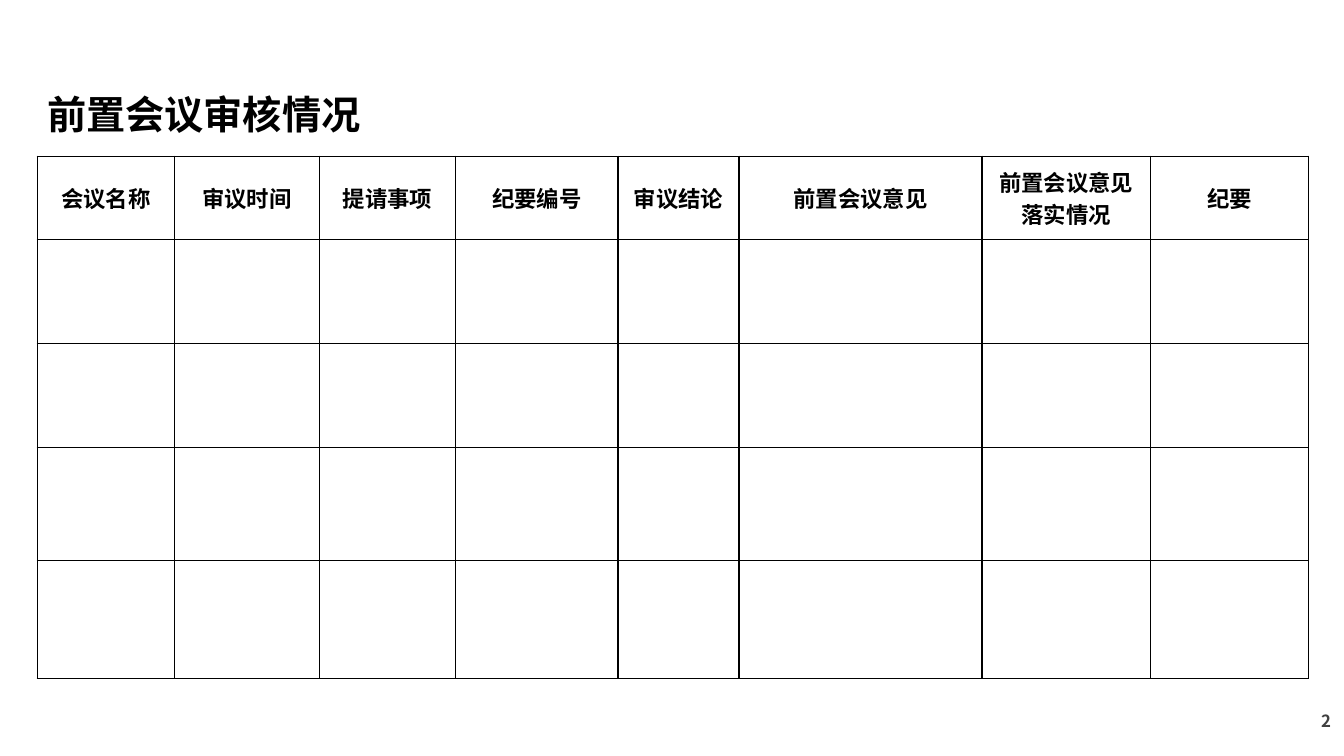
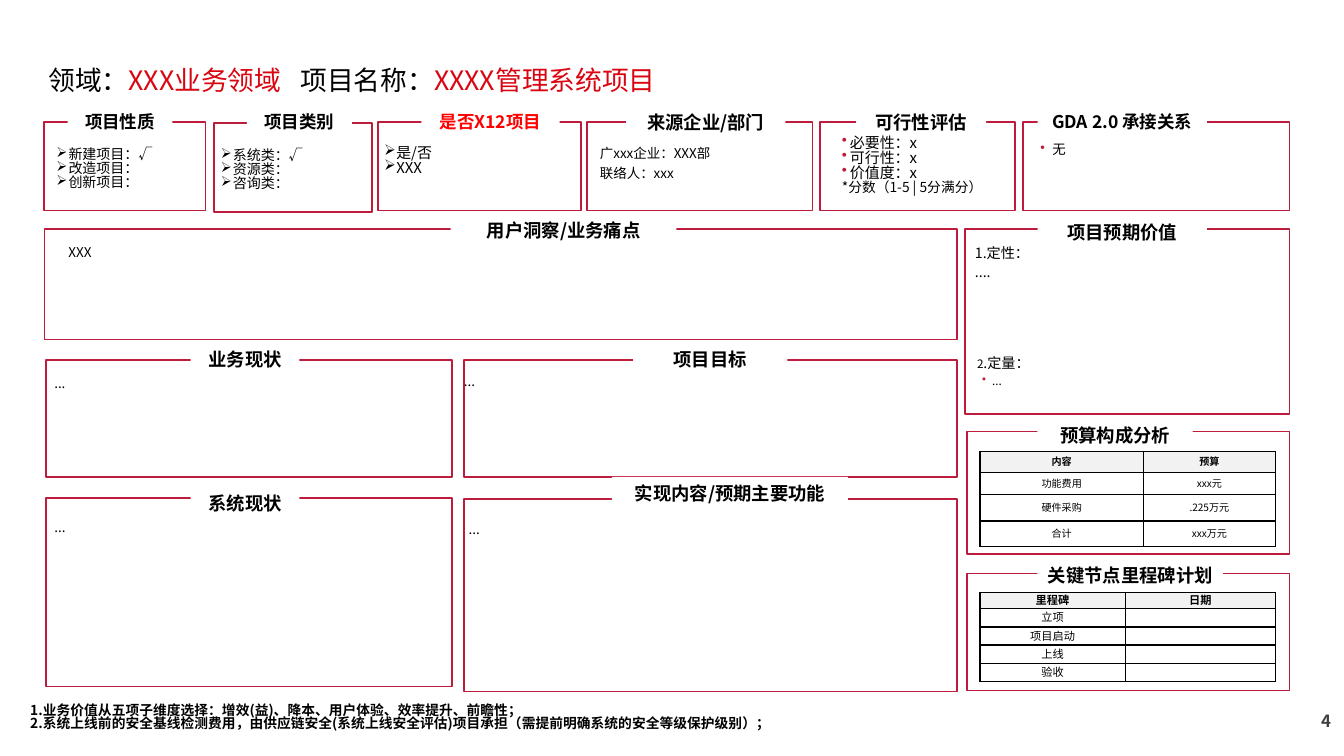
from dataclasses import dataclass, field

from lxml.etree import SubElement
from pptx import Presentation
from pptx.dml.color import RGBColor
from pptx.enum.shapes import MSO_SHAPE
from pptx.enum.text import MSO_ANCHOR, PP_ALIGN
from pptx.oxml.ns import qn
from pptx.util import Emu, Pt

PX = 9144  # 100 px to the inch


@dataclass(frozen=True)
class Theme:
    font: str = "Noto Sans CJK SC"
    ink: str = "000000"
    paper: str = "FFFFFF"
    frame: str = "BE1C3D"
    value: str = "D90612"
    alert: str = "FF0000"
    number: str = "404040"
    header_fill: str = "F2F2F2"
    heading: float = 28
    subject: float = 19.1
    table_head: float = 16
    label: float = 13.1
    label_small: float = 12.5
    page: float = 12
    item: float = 10.7
    list: float = 10
    body: float = 9.6
    note: float = 9.8
    small: float = 8.3
    milestone: float = 8
    budget: float = 7.2
    tight: float = 0.84


T = Theme()
DEFAULT_INSET = (10, 5, 10, 5)
THIN_INSET = (2, 1, 2, 1)
NO_INSET = (0, 0, 0, 0)


@dataclass
class Para:
    """Runs are strings or (text, format) pairs; indent is (left, first line) in px."""
    runs: list
    size: float = T.body
    bold: bool = False
    color: str = T.ink
    indent: tuple = (0, 0)
    bullet: str = ""
    bullet_color: str = T.ink
    tab: int = 0
    layout: dict = field(default_factory=dict)


@dataclass
class Panel:
    """A framed box whose label breaks the top edge."""
    frame: tuple
    label: tuple  # left, top, width
    title: str
    size: float = T.label
    color: str = T.ink


def px(*values):
    return [Emu(v * PX) for v in values]


def rgb(value):
    return RGBColor.from_string(value)


def set_attrs(target, values):
    for name, value in values.items():
        setattr(target, name, value)


def add_color(parent, tag, color):
    SubElement(SubElement(parent, qn(tag)), qn("a:srgbClr"), val=color)


def set_insets(target, inset):
    names = ("margin_left", "margin_top", "margin_right", "margin_bottom")
    set_attrs(target, dict(zip(names, px(*inset))))


def add_run(p, text, size, bold, color):
    r = p.add_run()
    r.text = text
    set_attrs(r.font, {"size": Pt(size), "bold": bold, "name": T.font})
    r.font.color.rgb = rgb(color)
    SubElement(r._r.get_or_add_rPr(), qn("a:ea"), typeface=T.font)


def write_para(p, para):
    pPr = p._p.get_or_add_pPr()
    left, first = px(*para.indent)
    pPr.set("marL", str(left))
    pPr.set("indent", str(first))
    if para.bullet:
        add_color(pPr, "a:buClr", para.bullet_color)
        SubElement(pPr, qn("a:buChar"), char=para.bullet)
    if para.tab:
        tabs = SubElement(pPr, qn("a:tabLst"))
        SubElement(tabs, qn("a:tab"), pos=str(para.tab * PX), algn="l")
    set_attrs(p, para.layout)
    base = {"size": para.size, "bold": para.bold, "color": para.color}
    for run in para.runs:
        text, changes = (run, {}) if isinstance(run, str) else run
        add_run(p, text, **{**base, **changes})


def write_paras(tf, paras):
    for i, para in enumerate(paras):
        write_para(tf.paragraphs[0] if i == 0 else tf.add_paragraph(), para)


def add_text(slide, box, paras, inset=DEFAULT_INSET, anchor=MSO_ANCHOR.TOP):
    tf = slide.shapes.add_textbox(*px(*box)).text_frame
    set_attrs(tf, {"word_wrap": True, "vertical_anchor": anchor})
    set_insets(tf, inset)
    write_paras(tf, paras)


def add_rect(slide, box):
    sp = slide.shapes.add_shape(MSO_SHAPE.RECTANGLE, *px(*box))
    sp.shadow.inherit = False
    return sp


def add_panel(slide, panel):
    frame = add_rect(slide, panel.frame)
    frame.fill.background()
    frame.line.color.rgb = rgb(T.frame)
    frame.line.width = Pt(1.25)
    left, top, width = panel.label
    label = add_rect(slide, (left, top, width, 32))
    label.fill.solid()
    label.fill.fore_color.rgb = rgb(T.paper)
    label.line.fill.background()
    tf = label.text_frame
    set_attrs(tf, {"word_wrap": False, "vertical_anchor": MSO_ANCHOR.MIDDLE})
    write_paras(tf, [Para([panel.title], panel.size, True, panel.color,
                          layout={"alignment": PP_ALIGN.CENTER})])


def set_borders(cell):
    tcPr = cell._tc.get_or_add_tcPr()
    for i, side in enumerate(("a:lnL", "a:lnR", "a:lnT", "a:lnB")):
        ln = tcPr.makeelement(qn(side), {"w": str(Pt(1))})
        add_color(ln, "a:solidFill", T.ink)
        tcPr.insert(i, ln)


def add_grid(slide, at, cols, rows, texts, size, inset, head_fill=None, spacing=1.0):
    """Bordered table with a bold first row; a line break in a text starts a paragraph."""
    frame = slide.shapes.add_table(len(rows), len(cols), *px(*at, sum(cols), sum(rows)))
    table = frame.table
    set_attrs(table, {"first_row": False, "horz_banding": False})
    for col, width in zip(table.columns, px(*cols)):
        col.width = width
    for row, height in zip(table.rows, px(*rows)):
        row.height = height
    layout = {"alignment": PP_ALIGN.CENTER, "line_spacing": spacing}
    for i, row in enumerate(table.rows):
        for j, cell in enumerate(row.cells):
            cell.vertical_anchor = MSO_ANCHOR.MIDDLE
            set_insets(cell, inset)
            if i == 0 and head_fill:
                cell.fill.solid()
                cell.fill.fore_color.rgb = rgb(head_fill)
            else:
                cell.fill.background()
            set_borders(cell)
            text = texts[i][j] if i < len(texts) and j < len(texts[i]) else ""
            if text:
                write_paras(cell.text_frame, [Para([line], size, i == 0, layout=layout)
                                              for line in text.split("\n")])
            else:
                SubElement(cell.text_frame.paragraphs[0]._p, qn("a:endParaRPr"),
                           sz=str(int(size * 100)))


def new_slide(prs, number):
    slide = prs.slides.add_slide(prs.slide_layouts[6])
    add_text(slide, (1279, 703, 51, 25),
             [Para([number], T.page, True, T.number, layout={"alignment": PP_ALIGN.RIGHT})],
             anchor=MSO_ANCHOR.MIDDLE)
    return slide


def bullets(texts, size, indent, mark="•", color=T.frame, **layout):
    return [Para([t], size, indent=indent, bullet=mark, bullet_color=color, layout=layout)
            for t in texts]


def add_checklist(slide, box, texts, size):
    add_text(slide, box, bullets(texts, size, (12, -12), "➢", T.ink, line_spacing=T.tight),
             THIN_INSET, MSO_ANCHOR.MIDDLE)


def review_slide(prs):
    slide = new_slide(prs, "2")
    add_text(slide, (37, 84, 893, 57), [Para(["前置会议审核情况"], T.heading, True)],
             anchor=MSO_ANCHOR.MIDDLE)
    heads = ["会议名称", "审议时间", "提请事项", "纪要编号", "审议结论",
             "前置会议意见", "前置会议意见\n落实情况", "纪要"]
    add_grid(slide, (37, 155), (136, 144, 135, 161, 120, 241, 167, 157),
             (83, 103, 103, 112, 117), [heads], T.table_head, (13, 6, 13, 6))


PANELS = [
    Panel((44, 121, 160, 88), (67, 105, 104), "项目性质", T.label_small),
    Panel((212, 122, 157, 88), (245, 105, 104), "项目类别", T.label_small),
    Panel((375, 121, 201, 88), (418, 105, 137), "是否X12项目", T.label_small, T.alert),
    Panel((582, 121, 224, 88), (621, 105, 158), "来源企业/部门"),
    Panel((813, 121, 194, 88), (849, 105, 129), "可行性评估"),
    Panel((1015, 121, 264, 88), (1029, 105, 168), "GDA 2.0 承接关系", T.label_small),
    Panel((44, 227, 905, 110), (447, 212, 224), "用户洞察/业务痛点"),
    Panel((46, 357, 402, 116), (189, 340, 108), "业务现状"),
    Panel((460, 357, 489, 116), (628, 340, 153), "项目目标"),
    Panel((46, 494, 402, 187), (189, 483, 108), "系统现状"),
    Panel((460, 495, 489, 191), (607, 473, 234), "实现内容/预期主要功能"),
    Panel((957, 227, 322, 184), (1029, 214, 168), "项目预期价值"),
    Panel((959, 428, 320, 122), (1029, 416, 154), "预算构成分析"),
    Panel((959, 569, 320, 116), (1029, 555, 184), "关键节点里程碑计划"),
]


def add_panel_texts(slide):
    add_checklist(slide, (54, 129, 176, 78), ["新建项目：√", "改造项目：", "创新项目："], T.list)
    add_checklist(slide, (217, 130, 138, 78), ["系统类：√", "资源类：", "咨询类："], T.list)
    add_checklist(slide, (379, 121, 179, 78), ["是/否", "XXX"], T.item)
    add_text(slide, (595, 140, 201, 61),
             [Para([t], layout={"line_spacing": 1.24})
              for t in ("广xxx企业：XXX部", "联络人：xxx")], NO_INSET)
    scores = bullets(["必要性：x", "可行性：x", "价值度：x"], T.item, (13, -8),
                     line_spacing=T.tight)
    scale = Para(["*分数（1-5 | 5分满分）"], T.note, indent=(5, 0),
                 layout={"line_spacing": T.tight})
    add_text(slide, (830, 135, 177, 70), [*scores, scale], NO_INSET)
    add_text(slide, (1015, 135, 248, 26), bullets(["无"], T.body, (19, -12)))

    for box, text, inset in (
        ((58, 237, 879, 91), "XXX", DEFAULT_INSET),
        ((44, 367, 390, 106), "...", DEFAULT_INSET),
        ((460, 370, 489, 78), "...", NO_INSET),
        ((44, 510, 401, 167), "...", DEFAULT_INSET),
        ((455, 512, 499, 174), "...", DEFAULT_INSET),
    ):
        add_text(slide, box, [Para([text])], inset)

    after = {"space_after": Pt(1.6)}
    add_text(slide, (964, 242, 300, 36),
             [Para([t], 10.1, indent=(3, 0), layout=after) for t in ("1.定性：", "....")],
             NO_INSET)
    amount = Para([("2", {"size": T.small}), ".定量："], 10.1, indent=(5, 0), layout=after)
    add_text(slide, (964, 352, 301, 33),
             [amount, *bullets(["..."], T.small, (20, -10), **after)], NO_INSET)


def project_slide(prs):
    slide = new_slide(prs, "4")
    value = {"color": T.value}
    add_text(slide, (42, 65, 1006, 49),
             [Para(["领域：", ("XXX业务领域\t", value), "项目名称：", ("XXXX管理系统项目", value)],
                   T.subject, tab=287, layout={"line_spacing": 0.75})], (6, 6, 6, 6))
    for panel in PANELS:
        add_panel(slide, panel)
    add_panel_texts(slide)
    small_grid = {"inset": THIN_INSET, "head_fill": T.header_fill, "spacing": T.tight}
    add_grid(slide, (972, 448), (162, 131), (21, 22, 26, 25),
             [("内容", "预算"), ("功能费用", "xxx元"), ("硬件采购", ".225万元"),
              ("合计", "xxx万元")], T.budget, **small_grid)
    add_grid(slide, (972, 588), (144, 149), (16, 18, 18, 18, 18),
             [("里程碑", "日期"), ("立项",), ("项目启动",), ("上线",), ("验收",)],
             T.milestone, **small_grid)
    notes = ("1.业务价值从五项子维度选择：增效(益)、降本、用户体验、效率提升、前瞻性；",
             "2.系统上线前的安全基线检测费用，由供应链安全(系统上线安全评估)项目承担"
             "（需提前明确系统的安全等级保护级别）；")
    add_text(slide, (30, 695, 1271, 30),
             [Para([t], T.note, True, layout={"line_spacing": 0.75}) for t in notes],
             NO_INSET, MSO_ANCHOR.BOTTOM)


def main():
    prs = Presentation()
    prs.slide_width, prs.slide_height = px(1333, 750)
    review_slide(prs)
    project_slide(prs)
    prs.save("out.pptx")


if __name__ == "__main__":
    main()
